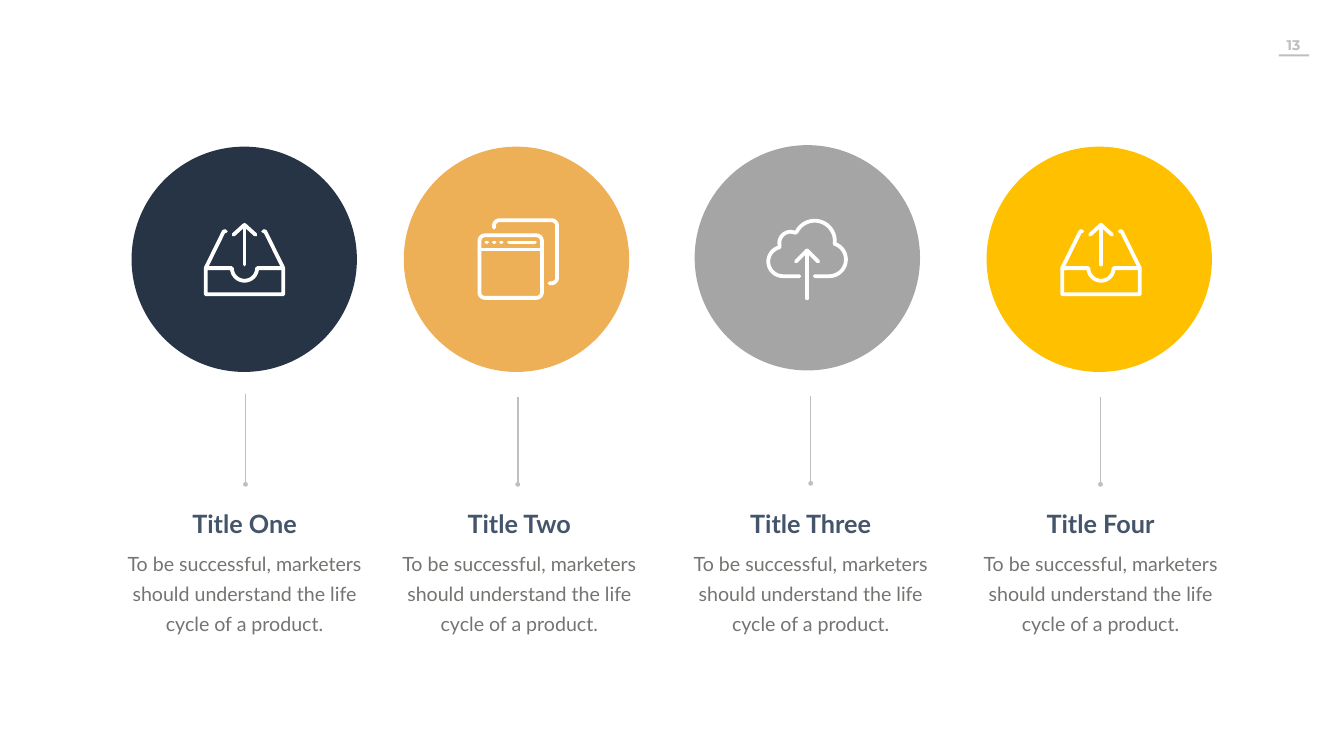
from math import cos, radians, sin

from lxml import etree
from pptx import Presentation
from pptx.dml.color import RGBColor
from pptx.enum import shapes, text
from pptx.oxml.ns import qn
from pptx.util import Inches, Pt

COLORS = {"navy": "263445", "orange": "EEB057", "gray": "A5A5A5", "yellow": "FFC000",
          "white": "FFFFFF", "rule": "BFBFBF", "title": "44546A", "body": "737571"}
BODY = "To be successful, marketers should understand the life cycle of a product."
CIRCLE = 4.47
TEXT_W = 4.88


def arc(cx, cy, r, start, end, steps=24):
    angles = [radians(start + (end - start) * i / steps) for i in range(steps + 1)]
    return [(cx + r * cos(a), cy + r * sin(a)) for a in angles]


def up_arrow(tip, tail, head):
    return [[(0.81, tail), (0.81, tip)],
            [(0.59, tip + head), (0.81, tip), (1.03, tip + head)]]


def tray_icon():
    box = [(0.04, 0.91), *arc(0.81, 0.91, 0.25, 180, 0), (1.58, 0.91),
           (1.58, 1.43), (0.04, 1.43), (0.04, 0.91)]
    left_flap = [(0.04, 0.91), (0.4, 0.18), (0.44, 0.18)]
    right_flap = [(1.62 - x, y) for x, y in left_flap]
    return [box, left_flap, right_flap, *up_arrow(0.05, 0.84, 0.2)]


def window_icon():
    front = [*arc(0.15, 0.45, 0.11, 180, 270), *arc(1.17, 0.45, 0.11, 270, 360),
             *arc(1.17, 1.47, 0.11, 0, 90), *arc(0.15, 1.47, 0.11, 90, 180), (0.04, 0.45)]
    back = [(0.33, 0.19), *arc(0.44, 0.15, 0.11, 180, 270), *arc(1.47, 0.15, 0.11, 270, 360),
            *arc(1.47, 1.18, 0.11, 0, 90), (1.43, 1.29)]
    dots = [[(x, 0.48), (x + 0.01, 0.48)] for x in (0.18, 0.33, 0.47)]
    return [front, back, [(0.04, 0.62), (1.28, 0.62)], [(0.63, 0.48), (1.14, 0.48)], *dots]


def cloud_icon():
    cloud = [(0.66, 1.14), *arc(0.33, 0.85, 0.29, 90, 257), *arc(0.48, 0.48, 0.22, 172, 295),
             *arc(0.96, 0.44, 0.4, 207, 369), *arc(1.25, 0.81, 0.33, -65, 90), (0.96, 1.14)]
    return [cloud, *up_arrow(0.63, 1.58, 0.22)]


class SlideBuilder:
    def __init__(self, s):
        self.s = s

    def color(self, name):
        return RGBColor.from_string(COLORS[name])

    def shape(self, kind, x, y, w, h, fill):
        sp = self.s.shapes.add_shape(kind, Inches(x), Inches(y), Inches(w), Inches(h))
        sp.shadow.inherit = False
        sp.fill.solid()
        sp.fill.fore_color.rgb = self.color(fill)
        sp.line.fill.background()

    def icon(self, x, y, strokes):
        fb = None
        for stroke in strokes:
            pts = [(px * 1000, py * 1000) for px, py in stroke]
            if fb is None:
                fb = self.s.shapes.build_freeform(*pts[0], scale=914.4)
            else:
                fb.move_to(*pts[0])
            fb.add_line_segments(pts[1:], close=False)
        sp = fb.convert_to_shape(Inches(x), Inches(y))
        sp.shadow.inherit = False
        sp.fill.background()
        sp.line.color.rgb = self.color("white")
        sp.line.width = Pt(5.4)
        ln = sp.line._get_or_add_ln()
        ln.set("cap", "rnd")
        etree.SubElement(ln, qn("a:round"))

    def stem(self, x, top, bottom):
        cn = self.s.shapes.add_connector(shapes.MSO_CONNECTOR.STRAIGHT, Inches(x),
                                         Inches(top), Inches(x), Inches(bottom))
        cn.line.color.rgb = self.color("rule")
        cn.line.width = Pt(2.25)
        etree.SubElement(cn.line._get_or_add_ln(), qn("a:tailEnd"), type="oval")
        etree.SubElement(cn._element.spPr, qn("a:effectLst"))

    def label(self, x, y, w, h, words, size, color, font="Lato", bold=False,
              spacing=None, wrap=True, margins=(0.1, 0.05, 0.1, 0.05)):
        tb = self.s.shapes.add_textbox(Inches(x), Inches(y), Inches(w), Inches(h))
        tf = tb.text_frame
        tf.word_wrap = wrap
        tf.margin_left, tf.margin_top, tf.margin_right, tf.margin_bottom = map(Inches, margins)
        p = tf.paragraphs[0]
        p.alignment = text.PP_ALIGN.CENTER
        if spacing:
            p.line_spacing = Pt(spacing)
        r = p.add_run()
        r.text = words
        r.font.name, r.font.size, r.font.bold = font, Pt(size), bold
        r.font.color.rgb = self.color(color)


def main():
    prs = Presentation()
    prs.slide_width, prs.slide_height = Inches(26.66), Inches(15)
    b = SlideBuilder(prs.slides.add_slide(prs.slide_layouts[6]))

    b.label(25.27, 0.62, 0.94, 0.54, "13", 20, "rule", font="Montserrat", bold=True,
            wrap=False, margins=(0.2, 0.1, 0.36, 0.1))
    b.shape(shapes.MSO_SHAPE.RECTANGLE, 25.37, 1.08, 0.6, 0.04, "rule")

    columns = [
        ("Title One", "navy", (2.61, 2.91), (4.04, 4.41), tray_icon, (4.87, 7.81, 9.61), 2.41),
        ("Title Two", "orange", (8.01, 2.91), (9.47, 4.33), window_icon, (10.27, 7.88, 9.61), 7.86),
        ("Title Three", "gray", (13.78, 2.88), (15.2, 4.34), cloud_icon, (16.08, 7.86, 9.59), 13.64),
        ("Title Four", "yellow", (19.57, 2.91), (21.03, 4.41), tray_icon, (21.83, 7.88, 9.61), 19.39),
    ]
    for title, fill, circle_at, icon_at, icon, stem, text_x in columns:
        b.stem(*stem)
        b.shape(shapes.MSO_SHAPE.OVAL, *circle_at, CIRCLE, CIRCLE, fill)
        b.icon(*icon_at, icon())
        b.label(text_x, 10.04, TEXT_W, 0.71, title, 36, "title", bold=True)
        b.label(text_x, 10.77, TEXT_W, 1.84, BODY, 28, "body", spacing=43)

    prs.save("out.pptx")


if __name__ == "__main__":
    main()
